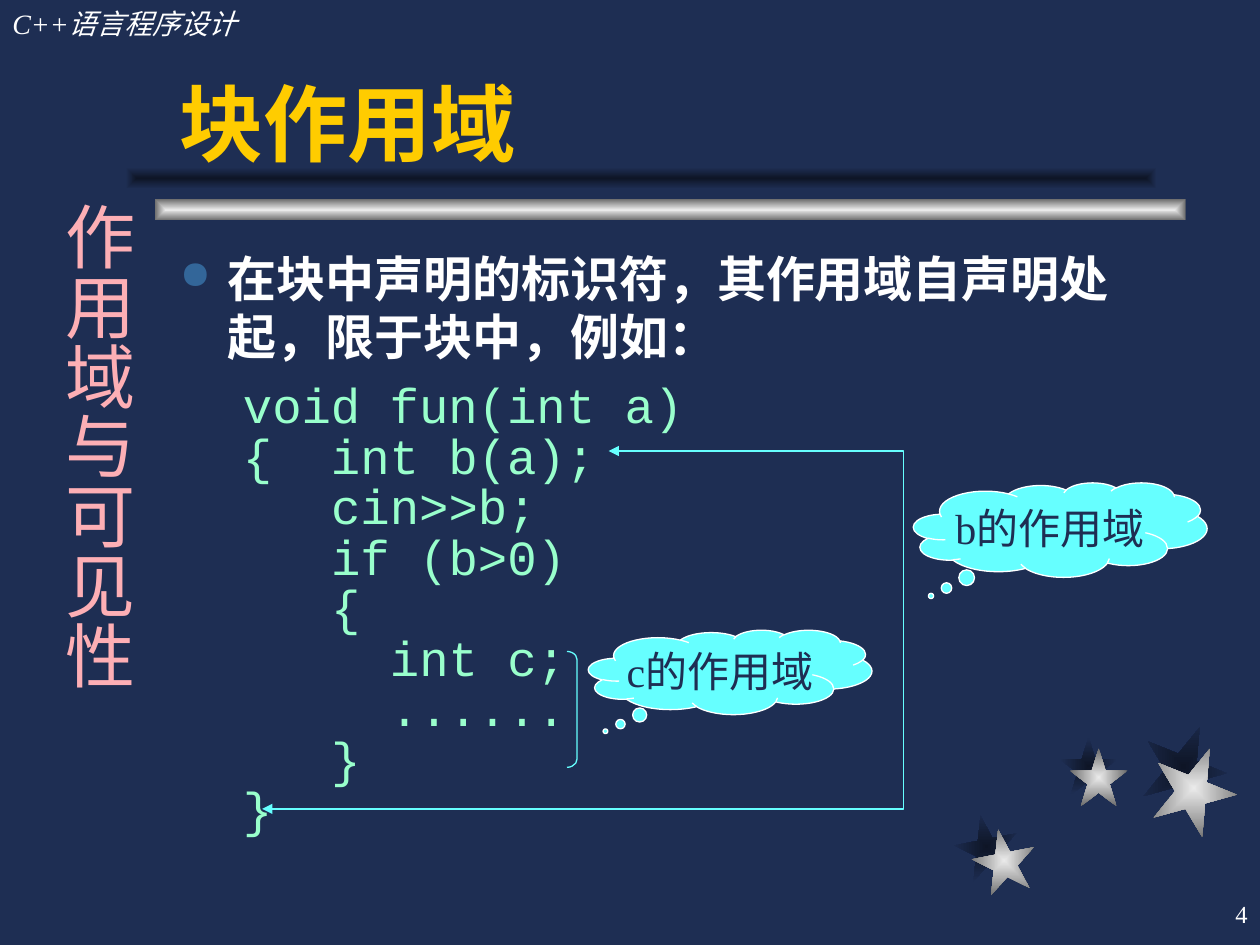
import pptx
import pptx.util
import pptx.dml.color
import pptx.enum.shapes
import pptx.enum.text
import pptx.oxml
import pptx.oxml.ns

Inches, Pt = pptx.util.Inches, pptx.util.Pt
SHAPE = pptx.enum.shapes.MSO_SHAPE
ANCHOR = pptx.enum.text.MSO_ANCHOR
ALIGN = pptx.enum.text.PP_ALIGN
NS = pptx.oxml.ns.nsdecls("a")

# Content
HEADER = "C++语言程序设计"
TITLE = "块作用域"
SECTION = "作用域与可见性"
PAGE = "4"
POINT = "在块中声明的标识符，其作用域自声明处起，限于块中，例如："
CODE = [  # indent in characters, text
    (0, "void fun(int a)"),
    (0, "{  int b(a);"),
    (3, "cin>>b;"),
    (3, "if (b>0)"),
    (3, "{"),
    (5, "int c;"),
    (5, "......"),
    (3, "}"),
    (0, "}"),
]
CLOUDS = [
    ("c的作用域", (4.67, 5, 2.25, 0.67)),
    ("b的作用域", (7.25, 3.83, 2.33, 0.75)),
]
SCOPE_B = [(4.83, 3.58), (7.17, 3.58), (7.17, 6.42), (2.08, 6.42)]
SCOPE_C = (4.5, 5.17, 0.08, 0.92)
STARS = [  # size, rotation, shadow corner, star corner
    (0.5, 349, (7.58, 6.47), (7.72, 6.58)),
    (0.46, 0, (8.41, 5.85), (8.49, 5.94)),
    (0.67, 22, (9.06, 5.75), (9.14, 5.92)),
]
BAR_SIZE = (8.18, 0.17)
BARS = [("silver", (1.23, 1.58)), ("shade", (1, 1.33))]

COLORS = {
    "navy": "1E2E53", "white": "FFFFFF", "gold": "FFCC00", "pink": "FDAFB5",
    "mint": "99FFCC", "cyan": "66FFFF", "bullet": "336699",
}
GRADIENTS = {"silver": ("EAEAEA", "6C6C6C"), "shade": ("0E1526", "1E2E53")}
SERIF, SANS, MONO = "Times New Roman", "Arial", "Courier New"
CODE_LEFT = 0.5
CHAR_WIDTH = 28 * 0.6 / 72

prs = pptx.Presentation()
prs.slide_width, prs.slide_height = Inches(10), Inches(7.5)
s = prs.slides.add_slide(prs.slide_layouts[6])


def rgb(name):
    return pptx.dml.color.RGBColor.from_string(COLORS[name])


def add_run(p, text, color, **fmt):
    r = p.add_run()
    r.text = text
    r.font.color.rgb = rgb(color)
    for key, value in fmt.items():
        setattr(r.font, key, value)


def text_box(box, **frame):
    sp = s.shapes.add_textbox(*map(Inches, box))
    tf = sp.text_frame
    for key, value in {"word_wrap": True, **frame}.items():
        setattr(tf, key, value)
    return tf


def add_shape(kind, box):
    sp = s.shapes.add_shape(kind, *map(Inches, box))
    sp.shadow.inherit = False
    return sp


def add_gradient_shape(kind, box, gradient, rotation=0):
    sp = add_shape(kind, box)
    sp.line.fill.background()
    sp.rotation = rotation
    inner, outer = GRADIENTS[gradient]
    sp.fill.background()
    old = sp._element.spPr.find(pptx.oxml.ns.qn("a:noFill"))
    old.getparent().replace(old, pptx.oxml.parse_xml(
        f'<a:gradFill {NS} rotWithShape="1"><a:gsLst>'
        f'<a:gs pos="0"><a:srgbClr val="{inner}"/></a:gs>'
        f'<a:gs pos="100000"><a:srgbClr val="{outer}"/></a:gs></a:gsLst>'
        '<a:path path="rect"><a:fillToRect l="50000" t="50000" r="50000" b="50000"/>'
        '</a:path></a:gradFill>'))


def set_line(sp, color):
    sp.line.color.rgb = rgb(color)
    sp.line.width = Pt(0.75)


# Background, stars and title bars
s.background.fill.solid()
s.background.fill.fore_color.rgb = rgb("navy")
for layer, gradient in enumerate(("shade", "silver")):
    for size, rotation, *corners in STARS:
        add_gradient_shape(SHAPE.STAR_5_POINT, (*corners[layer], size, size),
                           gradient, rotation)
for gradient, corner in BARS:
    add_gradient_shape(SHAPE.RECTANGLE, (*corner, *BAR_SIZE), gradient)

# Header, page number and title
tf = text_box((0, 0, 3.08, 0.37))
add_run(tf.paragraphs[0], HEADER, "white", size=Pt(16), name=SERIF, italic=True)
tf = text_box((7.92, 7, 2.08, 0.5), vertical_anchor=ANCHOR.MIDDLE)
tf.paragraphs[0].alignment = ALIGN.RIGHT
add_run(tf.paragraphs[0], PAGE, "white", size=Pt(14), name=SERIF)
tf = text_box((1.33, 0.5, 7.92, 0.92), vertical_anchor=ANCHOR.BOTTOM)
add_run(tf.paragraphs[0], TITLE, "gold", size=Pt(48), name=SANS, bold=True)

# Bullet point
tf = text_box((1.33, 1.92, 7.92, 5))
p = tf.paragraphs[0]
p.space_before, p.space_after = Pt(7), Pt(8.8)
add_run(p, POINT, "white", size=Pt(28), name=SANS, bold=True)
pPr = p._p.get_or_add_pPr()
pPr.set("marL", str(Inches(0.38)))
pPr.set("indent", str(Inches(-0.38)))
for xml in (f'<a:buClr {NS}><a:srgbClr val="{COLORS["bullet"]}"/></a:buClr>',
            f'<a:buSzPct {NS} val="80000"/>',
            f'<a:buChar {NS} char="●"/>'):
    pPr.append(pptx.oxml.parse_xml(xml))

# Code lines
for indent, line in CODE:
    p = tf.add_paragraph()
    p.line_spacing, p.space_before = 0.65, Pt(7)
    p._p.get_or_add_pPr().set("marL", str(Inches(CODE_LEFT + indent * CHAR_WIDTH)))
    add_run(p, line, "mint", size=Pt(28), name=MONO)

# Scope markers
bracket = add_shape(SHAPE.RIGHT_BRACKET, SCOPE_C)
bracket.adjustments[0] = 0.83
bracket.fill.background()
set_line(bracket, "cyan")

points = [(Inches(x), Inches(y)) for x, y in SCOPE_B]
fb = s.shapes.build_freeform(*points[0])
fb.add_line_segments(points[1:], close=False)
arrow = fb.convert_to_shape()
arrow.shadow.inherit = False
arrow.fill.background()
set_line(arrow, "cyan")
for end in ("headEnd", "tailEnd"):
    arrow.line._get_or_add_ln().append(
        pptx.oxml.parse_xml(f'<a:{end} {NS} type="triangle"/>'))

# Cloud labels
for label, box in CLOUDS:
    cloud = add_shape(SHAPE.CLOUD_CALLOUT, box)
    cloud.adjustments[0], cloud.adjustments[1] = -0.44, 0.7
    cloud.fill.solid()
    cloud.fill.fore_color.rgb = rgb("cyan")
    set_line(cloud, "white")
    tf = cloud.text_frame
    tf.word_wrap, tf.vertical_anchor = False, ANCHOR.MIDDLE
    tf.paragraphs[0].alignment = ALIGN.CENTER
    add_run(tf.paragraphs[0], label, "navy", size=Pt(24), name=SERIF)

# Vertical section name
tf = text_box((0.3, 1.5, 0.86, 4.83), margin_left=Inches(0.05), margin_right=Inches(0.05),
              margin_top=Inches(0.1), margin_bottom=Inches(0.1))
tf._txBody.bodyPr.set("vert", "eaVert")
tf.paragraphs[0].alignment = ALIGN.CENTER
add_run(tf.paragraphs[0], SECTION, "pink", size=Pt(40), name=SERIF)

prs.save("out.pptx")
